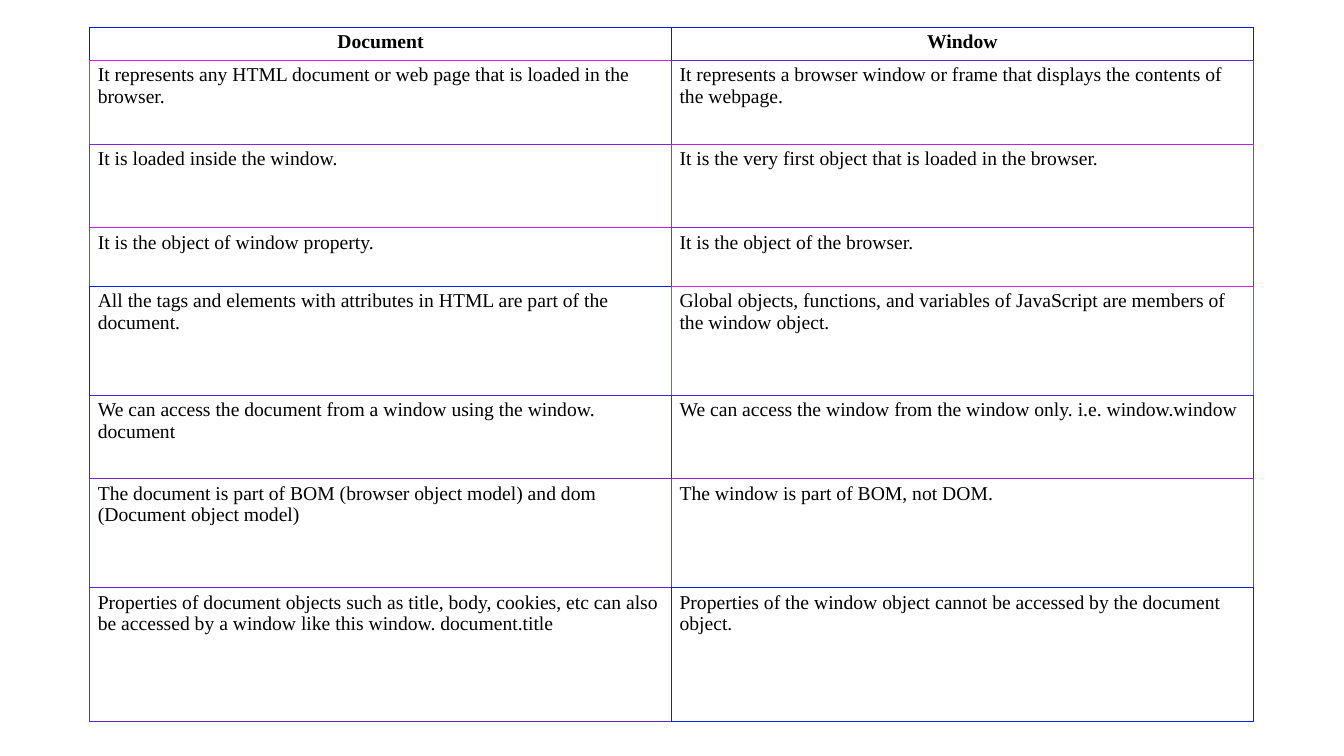
from pptx import Presentation
from pptx.dml.color import RGBColor as RGB
from pptx.enum.text import PP_ALIGN as AL
from pptx.oxml.ns import qn
from pptx.util import Inches, Pt
from lxml.etree import SubElement

COLORS = {
    "text": "000000", "cell": "FFFFFF", "header": "0018E8", "pink": "E01CE8",
    "indigo": "6021E8", "violet": "8021E8", "purple": "C021E8",
    "orchid": "C01EE8", "blue": "001EE8", "magenta": "E020E8",
    "iris": "4022E8", "grape": "801EE8", "plum": "A01DE8", "royal": "6020E8",
}
HEIGHTS = [0.33, 0.83, 0.83, 0.58, 1.08, 0.83, 1.08, 1.33]
ROWS = [
    ("Document", "Window"),
    ("It represents any HTML document or web page that is loaded in the browser.",
     "It represents a browser window or frame that displays the contents of the webpage."),
    ("It is loaded inside the window.",
     "It is the very first object that is loaded in the browser."),
    ("It is the object of window property.",
     "It is the object of the browser."),
    ("All the tags and elements with attributes in HTML are part of the document.",
     "Global objects, functions, and variables of JavaScript are members of the window object."),
    ("We can access the document from a window using the window. document",
     "We can access the window from the window only. i.e. window.window"),
    ("The document is part of BOM (browser object model) and dom (Document object model)",
     "The window is part of BOM, not DOM."),
    ("Properties of document objects such as title, body, cookies, etc can also be accessed "
     "by a window like this window. document.title",
     "Properties of the window object cannot be accessed by the document object."),
]
BORDERS = [
    ("header", "header"), ("pink", "indigo"), ("violet", "purple"),
    ("orchid", "violet"), ("blue", "magenta"), ("iris", "iris"),
    ("grape", "plum"), ("royal", "blue"),
]


def add_border(tc_pr, side, color):
    ln = SubElement(tc_pr, qn(f"a:{side}"), w=str(Pt(0.6)))
    fill = SubElement(ln, qn("a:solidFill"))
    SubElement(fill, qn("a:srgbClr"), val=COLORS[color])


prs = Presentation()
prs.slide_width, prs.slide_height = Inches(13.33), Inches(7.5)
s = prs.slides.add_slide(prs.slide_layouts[6])

table = s.shapes.add_table(len(ROWS), 2, Inches(0.89), Inches(0.27),
                           Inches(11.54), Inches(sum(HEIGHTS))).table
table.first_row = table.horz_banding = False
for row, height in zip(table.rows, HEIGHTS):
    row.height = Inches(height)

for i, texts in enumerate(ROWS):
    below = BORDERS[min(i + 1, len(ROWS) - 1)]
    for j, text in enumerate(texts):
        cell = table.cell(i, j)
        cell.margin_left = cell.margin_right = Inches(0.08)
        cell.margin_top = cell.margin_bottom = Inches(0.04)
        cell.text = text
        p = cell.text_frame.paragraphs[0]
        p.alignment = AL.LEFT if i else AL.CENTER
        font = p.runs[0].font
        font.name, font.size, font.bold = "Times New Roman", Pt(14), i == 0
        font.color.rgb = RGB.from_string(COLORS["text"])
        tc_pr = cell._tc.get_or_add_tcPr()
        own = BORDERS[i][j]
        for side, color in (("lnL", own), ("lnR", BORDERS[i][1]),
                            ("lnT", own), ("lnB", below[j])):
            add_border(tc_pr, side, color)
        cell.fill.solid()
        cell.fill.fore_color.rgb = RGB.from_string(COLORS["cell"])

prs.save("out.pptx")
